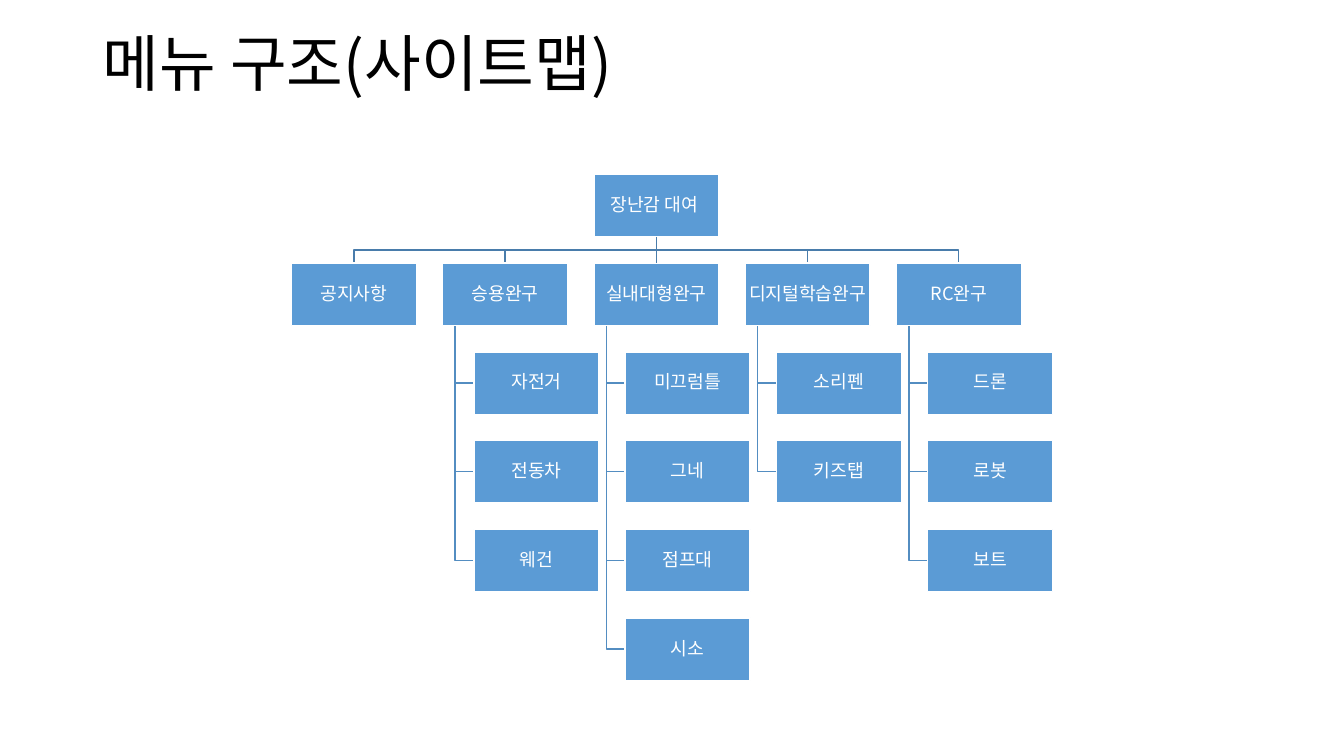
from dataclasses import dataclass
from lxml import etree
from pptx import Presentation, util as u
from pptx.dml.color import RGBColor
from pptx.enum import shapes, text
from pptx.oxml import ns

TITLE = "메뉴 구조(사이트맵)"
ROOT = "장난감 대여 "
MENUS = [
    ("공지사항", []),
    ("승용완구", ["자전거", "전동차", "웨건"]),
    ("실내대형완구", ["미끄럼틀", "그네", "점프대", "시소"]),
    ("디지털학습완구", ["소리펜", "키즈탭"]),
    ("RC완구", ["드론", "로봇", "보트"]),
]


@dataclass(frozen=True)
class Theme:
    font: str = "Noto Sans CJK KR"
    title_size: float = 44
    box_size: float = 13
    black: str = "000000"
    white: str = "FFFFFF"
    box: str = "5B9BD5"
    menu_line: str = "497CAB"
    item_line: str = "538DC1"


T = Theme()
LEFT, TOP = 2.89, 1.73
COL, ROW = 1.5, 0.88
BOX_W, BOX_H = 1.24, 0.62
INDENT, STEM = 0.31, 0.13
MIDDLE = len(MENUS) // 2


def rgb(value):
    return RGBColor.from_string(value)


def write(tf, content, size, color, align, margin=None, after=0):
    tf.word_wrap = True
    tf.auto_size = text.MSO_AUTO_SIZE.NONE
    tf.vertical_anchor = text.MSO_ANCHOR.MIDDLE
    if margin is not None:
        tf.margin_left = tf.margin_right = u.Inches(margin)
        tf.margin_top = tf.margin_bottom = u.Inches(margin)
    p = tf.paragraphs[0]
    p.alignment = align
    p.line_spacing = 0.9
    p.space_after = u.Pt(after)
    r = p.add_run()
    r.text = content
    r.font.size = u.Pt(size)
    r.font.name = T.font
    r.font.color.rgb = rgb(color)
    ea = etree.SubElement(r._r.get_or_add_rPr(), ns.qn("a:ea"))
    ea.set("typeface", T.font)
    r._r.rPr.find(ns.qn("a:latin")).addnext(ea)


def style_line(sp, color):
    sp.line.color.rgb = rgb(color)
    sp.line.width = u.Pt(1)


def add_box(s, label, x, y):
    sp = s.shapes.add_shape(shapes.MSO_SHAPE.RECTANGLE,
                            *map(u.Inches, (x, y, BOX_W, BOX_H)))
    sp.shadow.inherit = False
    sp.fill.solid()
    sp.fill.fore_color.rgb = rgb(T.box)
    style_line(sp, T.white)
    write(sp.text_frame, label, T.box_size, T.white, text.PP_ALIGN.CENTER, margin=0.01)
    return sp


def add_branch(s, points, color):
    start, *rest = [(u.Inches(x), u.Inches(y)) for x, y in points]
    builder = s.shapes.build_freeform(*start)
    builder.add_line_segments(rest, close=False)
    sp = builder.convert_to_shape()
    sp.shadow.inherit = False
    sp.fill.background()
    style_line(sp, color)


def add_stem(s, parent, child):
    sp = s.shapes.add_connector(shapes.MSO_CONNECTOR.STRAIGHT, 0, 0, 0, 0)
    sp.begin_connect(parent, 2)
    sp.end_connect(child, 0)
    style_line(sp, T.menu_line)
    etree.SubElement(sp._element.spPr, ns.qn("a:effectLst"))


def col_x(col):
    return LEFT + col * COL


def row_y(row):
    return TOP + row * ROW


def add_branches(s):
    root_x = col_x(MIDDLE) + BOX_W / 2
    root_y = row_y(0) + BOX_H
    for col, (_, items) in enumerate(MENUS):
        x = col_x(col)
        if col != MIDDLE:
            menu_x = x + BOX_W / 2
            add_branch(s, [(root_x, root_y), (root_x, root_y + STEM),
                           (menu_x, root_y + STEM), (menu_x, row_y(1))], T.menu_line)
        trunk = x + BOX_W / 10
        for row in range(2, 2 + len(items)):
            mid = row_y(row) + BOX_H / 2
            add_branch(s, [(trunk, row_y(1) + BOX_H), (trunk, mid), (x + INDENT, mid)],
                       T.item_line)


def add_boxes(s):
    root = add_box(s, ROOT, col_x(MIDDLE), row_y(0))
    for col, (menu, items) in enumerate(MENUS):
        sp = add_box(s, menu, col_x(col), row_y(1))
        if col == MIDDLE:
            add_stem(s, root, sp)
        for row, item in enumerate(items, 2):
            add_box(s, item, col_x(col) + INDENT, row_y(row))


def main():
    prs = Presentation()
    prs.slide_width, prs.slide_height = u.Inches(13.33), u.Inches(7.5)
    s = prs.slides.add_slide(prs.slide_layouts[5])
    title = s.shapes.title
    title.left, title.top, title.width, title.height = map(u.Inches, (0.92, 0.22, 11.5, 0.88))
    write(title.text_frame, TITLE, T.title_size, T.black, text.PP_ALIGN.LEFT)
    add_branches(s)
    add_boxes(s)
    prs.save("out.pptx")


if __name__ == "__main__":
    main()
